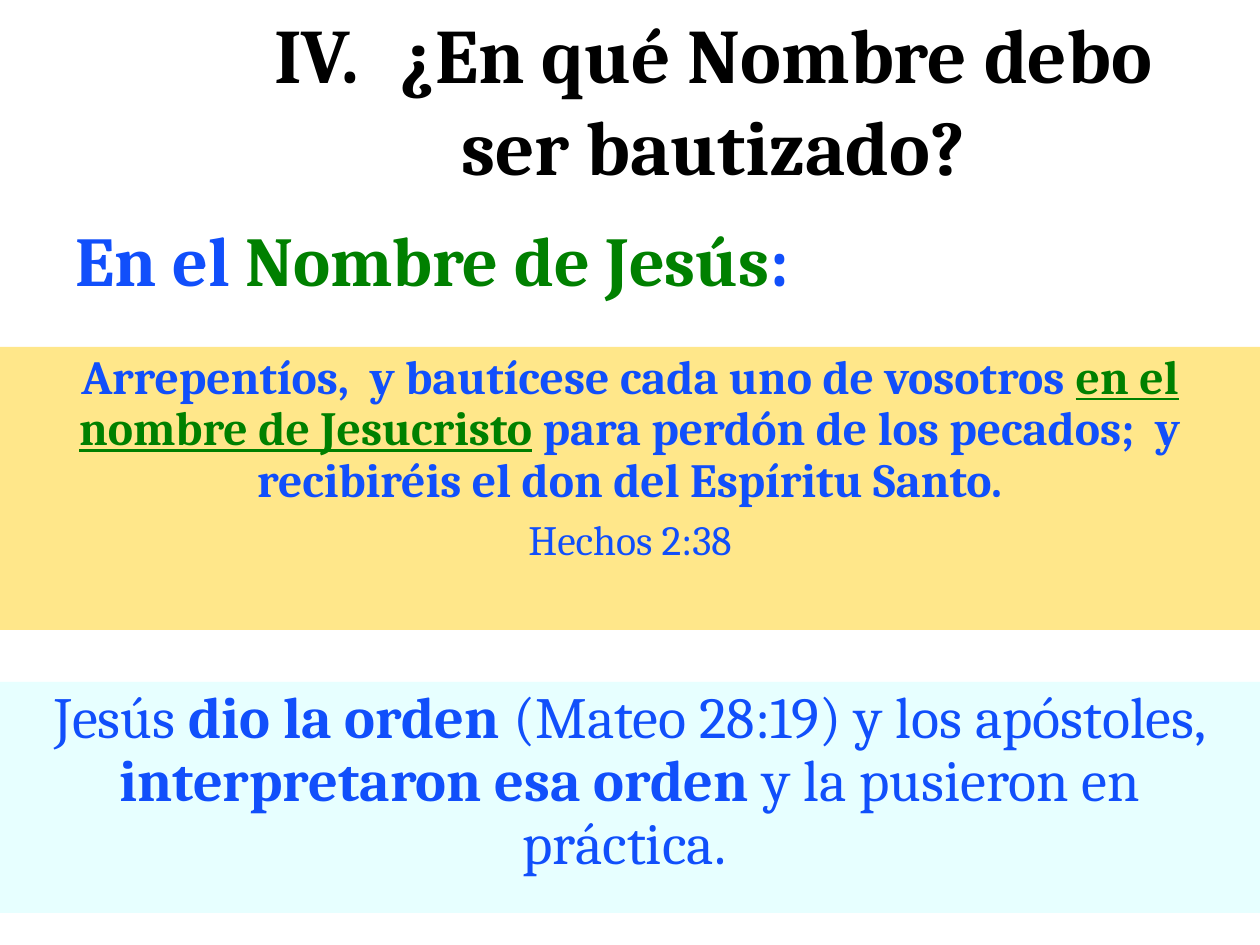
from lxml import etree
from pptx import Presentation
from pptx.dml.color import RGBColor
from pptx.enum.shapes import MSO_SHAPE
from pptx.enum.text import MSO_ANCHOR, MSO_AUTO_SIZE, PP_ALIGN
from pptx.oxml.ns import qn
from pptx.util import Emu, Pt

RECTANGLE = MSO_SHAPE.RECTANGLE
TOP = MSO_ANCHOR.TOP
NO_FIT = MSO_AUTO_SIZE.NONE
LEFT, CENTER = PP_ALIGN.LEFT, PP_ALIGN.CENTER
INCH = 914400
SCALE = INCH / 126
BLUE, GREEN, BLACK = "114FFB", "008000", "000000"


def color(value):
    return RGBColor.from_string(value)


def write(box, place, paragraphs):
    box.left, box.top, box.width, box.height = [Emu(round(px * SCALE)) for px in place]
    frame = box.text_frame
    settings = {"word_wrap": True, "auto_size": NO_FIT, "vertical_anchor": TOP}
    for name, value in settings.items():
        setattr(frame, name, value)
    for index, (layout, size, spans) in enumerate(paragraphs):
        para = frame.add_paragraph() if index else frame.paragraphs[0]
        properties = para._p.get_or_add_pPr()
        properties.set("marL", "0")
        properties.set("indent", "0")
        etree.SubElement(properties, qn("a:buNone"))
        tabs = etree.SubElement(properties, qn("a:tabLst"))
        for stop in range(8):
            etree.SubElement(tabs, qn("a:tab"), pos=str(stop * INCH), algn="l")
        for name, value in layout.items():
            setattr(para, name, value)
        for text, ink, style in spans:
            span = para.add_run()
            span.text = text
            span.font.color.rgb = color(ink)
            font = {"name": "Cambria", "size": Pt(size), "bold": False} | style
            for name, value in font.items():
                setattr(span.font, name, value)


deck = Presentation()
deck.slide_width, deck.slide_height = Emu(10 * INCH), Emu(round(7.5 * INCH))
page = deck.slides.add_slide(deck.slide_layouts[1])

bold = {"bold": True}
underlined = {"bold": True, "underline": True}
heading = {"alignment": CENTER, "line_spacing": 1.0, "space_before": Pt(0)}
answer = {"alignment": LEFT, "line_spacing": 0.9, "space_before": Pt(0)}
quote = {"alignment": CENTER, "line_spacing": 0.9, "space_before": Pt(0)}
citation = quote | {"space_before": Pt(7)}

write(page.shapes.title, (220, 0, 987, 176), [
    (heading, 44, [("IV.\t¿En qué Nombre debo ser bautizado?", BLACK, bold)]),
])
write(page.placeholders[1], (63, 220, 1144, 136), [
    (answer, 40, [
        ("En el ", BLUE, bold),
        ("Nombre de Jesús", GREEN, bold),
        (":", BLUE, bold),
    ]),
])

panels = [
    ("FFCC00", (0, 347, 1260, 283), [
        (quote, 27.2, [
            ("Arrepentíos,  y bautícese cada uno de vosotros ", BLUE, bold),
            ("en el nombre de Jesucristo", GREEN, underlined),
            (" para perdón de los pecados;  y recibiréis el don del Espíritu Santo.", BLUE, bold),
        ]),
        (citation, 23.8, [("Hechos 2:38", BLUE, {})]),
    ]),
    ("CCFFFF", (0, 682, 1260, 231), [
        (quote, 33.3, [
            ("Jesús ", BLUE, {}),
            ("dio la orden", BLUE, bold),
            (" (Mateo 28:19) y los apóstoles, ", BLUE, {}),
            ("interpretaron esa orden", BLUE, bold),
            (" y la pusieron en práctica. ", BLUE, {}),
        ]),
    ]),
]
for shade, place, paragraphs in panels:
    panel = page.shapes.add_shape(RECTANGLE, 0, 0, 0, 0)
    panel.shadow.inherit = False
    panel.line.fill.background()
    panel.fill.solid()
    panel.fill.fore_color.rgb = color(shade)
    fill_color = panel.fill._xPr.find(qn("a:solidFill"))[0]
    etree.SubElement(fill_color, qn("a:alpha"), val="46000")
    write(panel, place, paragraphs)

deck.save("out.pptx")
